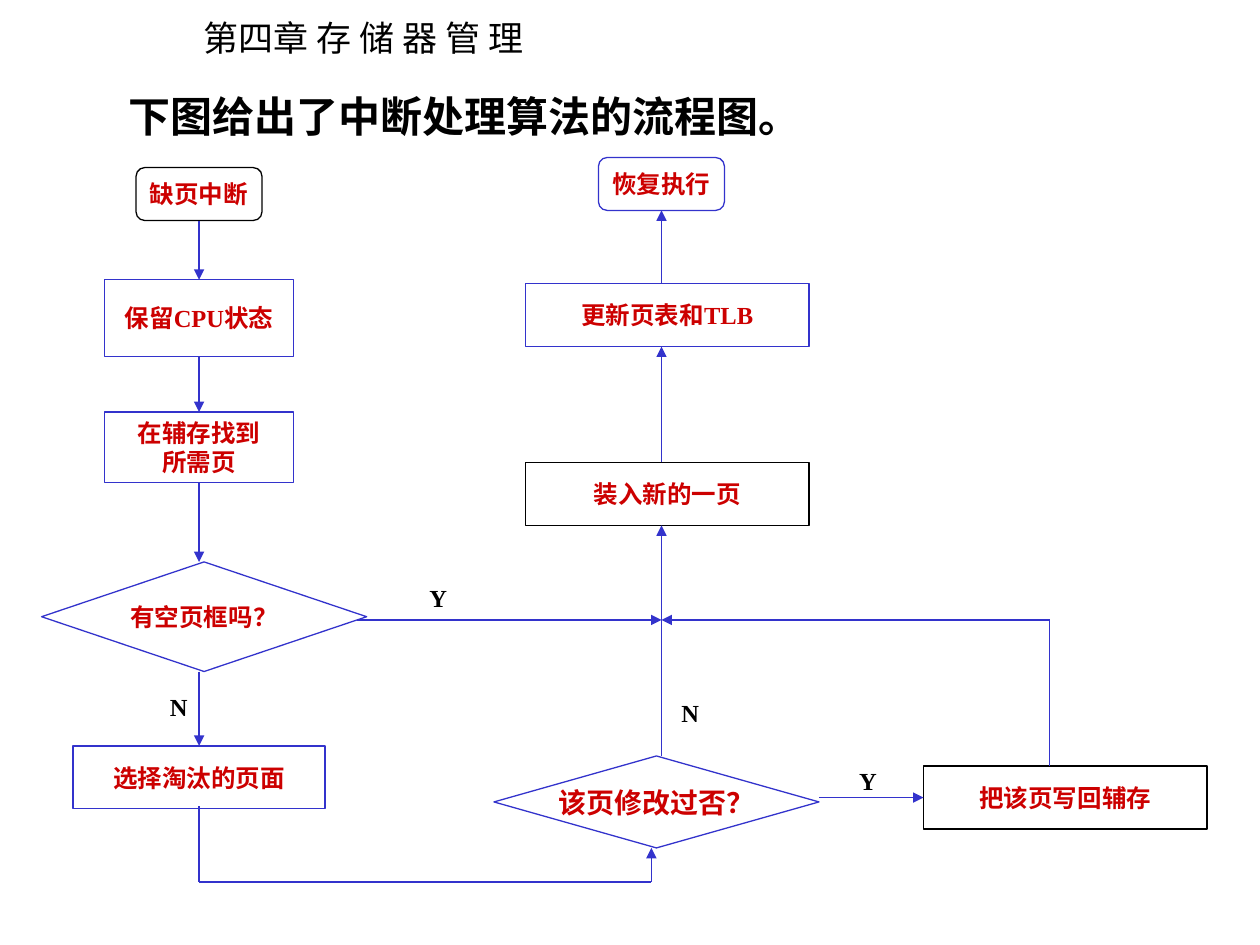
import pptx
import pptx.util
import pptx.dml.color
import pptx.oxml
import pptx.oxml.ns
import pptx.enum.shapes
import pptx.enum.text
from pptx.util import Inches

SHAPE = pptx.enum.shapes.MSO_SHAPE
ANCHOR = pptx.enum.text.MSO_ANCHOR
ALIGN = pptx.enum.text.PP_ALIGN
AUTO = pptx.enum.text.MSO_AUTO_SIZE
LATIN, CJK = "Times New Roman", "Noto Sans CJK SC"
BLUE, RED, BLACK = "3333CC", "CC0000", "000000"
LEFT_X, RIGHT_X, MERGE_Y = 1.58, 5.25, 4.92


def rgb(value):
    return pptx.dml.color.RGBColor.from_string(value)


def add_xml(parent, tag, **attributes):
    child = pptx.oxml.parse_xml(f"<a:{tag} {pptx.oxml.ns.nsdecls('a')}/>")
    for name, value in attributes.items():
        child.set(name, value)
    parent.append(child)


def write(sp, text, size, color=BLACK, bold=True, font=LATIN,
          align=ALIGN.LEFT, anchor=ANCHOR.TOP, wrap=False):
    tf = sp.text_frame
    tf.text = text
    tf.word_wrap = wrap
    tf.auto_size = AUTO.NONE
    tf.vertical_anchor = anchor
    for p in tf.paragraphs:
        p.alignment = align
        for r in p.runs:
            r.font.size = pptx.util.Pt(size)
            r.font.bold = bold
            r.font.name = font
            r.font.color.rgb = rgb(color)
            add_xml(r.font._element, "ea", typeface=CJK)


def add_label(s, text, x, y, w=0.34, h=0.34, size=14, **style):
    sp = s.shapes.add_textbox(Inches(x), Inches(y), Inches(w), Inches(h))
    write(sp, text, size, **style)


def add_node(s, kind, text, x, y, w, h, line=BLUE, size=14):
    sp = s.shapes.add_shape(kind, Inches(x), Inches(y), Inches(w), Inches(h))
    sp.shadow.inherit = False
    sp.fill.background()
    sp.line.color.rgb = rgb(line)
    sp.line.width = pptx.util.Pt(0.75)
    write(sp, text, size, RED, align=ALIGN.CENTER, anchor=ANCHOR.MIDDLE)


def add_route(s, *points, arrow=True):
    """Straight connectors through the points, with an arrowhead at the end."""
    for i, (start, end) in enumerate(zip(points, points[1:]), 2):
        c = s.shapes.add_connector(pptx.enum.shapes.MSO_CONNECTOR.STRAIGHT,
                                   *map(Inches, start + end))
        c.line.color.rgb = rgb(BLUE)
        c.line.width = pptx.util.Pt(0.75)
        if arrow and i == len(points):
            add_xml(c.line._get_or_add_ln(), "tailEnd", type="triangle")
        add_xml(c._element.spPr, "effectLst")


def add_headings(s, x, y, w, h):
    add_label(s, "第四章 存 储 器 管 理", 1.52, 0.08, 2.8, 0.44,
              size=20, bold=False, font=CJK)
    title = s.shapes.title
    title.left, title.top, title.width, title.height = map(Inches, (x, y, w, h))
    write(title, "下图给出了中断处理算法的流程图。", 24, wrap=True)


def add_fault_column(s, x):
    """Left column, centred on x: from the page fault to the victim choice."""
    steps = [
        (SHAPE.ROUNDED_RECTANGLE, "缺页中断", 1.33, 1, 0.42, BLACK),
        (SHAPE.RECTANGLE, "保留CPU状态", 2.22, 1.5, 0.61, BLUE),
        (SHAPE.RECTANGLE, "在辅存找到\n所需页", 3.27, 1.5, 0.56, BLUE),
        (SHAPE.DIAMOND, "有空页框吗？", 4.46, 2.58, 0.87, BLUE),
        (SHAPE.RECTANGLE, "选择淘汰的页面", 5.92, 2, 0.5, BLUE),
    ]
    for kind, text, y, w, h, line in steps:
        # The diamond sits slightly right of the column axis
        shift = 0.04 if kind == SHAPE.DIAMOND else 0
        add_node(s, kind, text, x + shift - w / 2, y, w, h, line)
    for upper, lower in zip(steps, steps[1:]):
        add_route(s, (x, upper[2] + upper[4]), (x, lower[2]))
    add_label(s, "N", 1.25, 5.44)


def add_load_column(s, x):
    """Right column with its axis at x: from the modified check to resuming."""
    add_node(s, SHAPE.ROUNDED_RECTANGLE, "恢复执行", x - 0.5, 1.25, 1, 0.42)
    add_node(s, SHAPE.RECTANGLE, "更新页表和TLB", 4.17, 2.25, 2.25, 0.5)
    add_node(s, SHAPE.RECTANGLE, "装入新的一页", 4.17, 3.67, 2.25, 0.5, BLACK)
    add_node(s, SHAPE.DIAMOND, "该页修改过否？", 3.92, 6, 2.58, 0.73, size=16)
    for start, end in ((2.25, 1.67), (3.67, 2.75), (5, 4.17)):
        add_route(s, (x, start), (x, end))
    add_route(s, (x, 6), (x, MERGE_Y), arrow=False)
    add_label(s, "N", 5.31, 5.49)


def add_branches(s):
    """Links between the columns, and the write-back branch."""
    add_route(s, (2.83, MERGE_Y), (RIGHT_X, MERGE_Y))
    add_label(s, "Y", 3.31, 4.58)
    add_route(s, (LEFT_X, 6.4), (LEFT_X, 7), (5.17, 7), (5.17, 6.73))
    add_node(s, SHAPE.RECTANGLE, "把该页写回辅存", 7.33, 6.08, 2.25, 0.5, BLACK)
    add_route(s, (6.5, 6.33), (7.33, 6.33))
    add_label(s, "Y", 6.72, 6.03)
    add_route(s, (8.33, 6.08), (8.33, MERGE_Y), (RIGHT_X, MERGE_Y))


def main():
    prs = pptx.Presentation()
    prs.slide_width, prs.slide_height = Inches(10), Inches(7.5)
    s = prs.slides.add_slide(prs.slide_layouts[5])
    add_headings(s, 0.92, 0.67, 7.08, 0.5)
    add_fault_column(s, LEFT_X)
    add_load_column(s, RIGHT_X)
    add_branches(s)
    prs.save("out.pptx")


if __name__ == "__main__":
    main()
